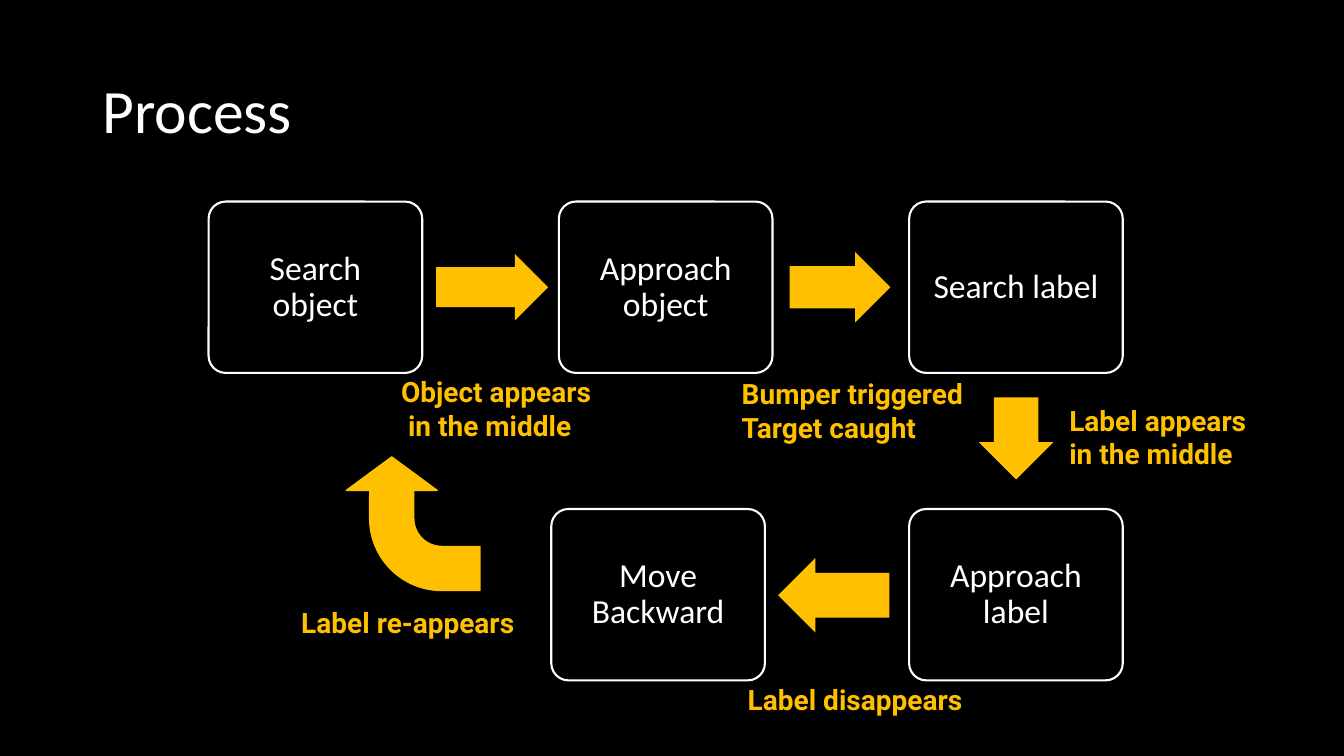
from pptx import Presentation
from pptx.dml.color import RGBColor
from pptx.enum.shapes import MSO_SHAPE
from pptx.enum.text import MSO_ANCHOR, PP_ALIGN
from pptx.util import Pt

HUES = {"back": "000000", "text": "FFFFFF", "gold": "FFC000"}
TITLE = ("Process", 66.2, 28.8, 828, 104.4)
WIDE, HIGH = 152.6, 122.4
TOP, LOW = 144, 363.6
STEPS = [
    ("Search object", 149, TOP),
    ("Approach object", 399.2, TOP),
    ("Search label", 649.4, TOP),
    ("Approach label", 649.4, LOW),
    ("Move Backward", 393.8, LOW),
]
TURNS = [
    (311.6, 181.4, 80, 47.6, 0),
    (564, 180, 72, 50.4, 0),
    (696.5, 286.6, 58.6, 53.2, 90),
    (555.8, 398.6, 79.4, 53.2, 180),
]
BEND = (247.4, 326.4, 95.4, 95.4, 270)
NOTES = [
    (["Object appears", " in the middle"], 279.4, 264.2, 160.6),
    (["Bumper triggered", "Target caught"], 522.7, 265.7, 183.6),
    (["Label appears", "in the middle"], 756.7, 284.4, 156.2),
    (["Label disappears"], 527, 483.8, 185),
    (["Label re-appears"], 208.1, 429.1, 180.7),
]
FONTS = {
    "title": {"name": "Calibri", "size": Pt(44)},
    "step": {"name": "Calibri", "size": Pt(24)},
    "note": {"name": "Roboto", "size": Pt(20), "bold": True},
}


def hue(key):
    return RGBColor.from_string(HUES[key])


def put(item, values):
    for key, value in values.items():
        setattr(item, key, value)


def write(frame, lines, style, tint, **form):
    frame.word_wrap = True
    for i, line in enumerate(lines):
        para = frame.paragraphs[0] if i == 0 else frame.add_paragraph()
        put(para, form)
        run = para.add_run()
        run.text = line
        put(run.font, FONTS[style])
        run.font.color.rgb = hue(tint)


def draw(kind, spot, fill, line, width, bends, turn=0):
    shape = slide.shapes.add_shape(kind, *map(Pt, spot))
    shape.shadow.inherit = False
    shape.rotation = turn
    shape.fill.solid()
    shape.fill.fore_color.rgb = hue(fill)
    if width:
        shape.line.color.rgb = hue(line)
        shape.line.width = Pt(width)
    else:
        shape.line.fill.background()
    for i, bend in enumerate(bends):
        shape.adjustments[i] = bend
    return shape


deck = Presentation()
put(deck, {"slide_width": Pt(960), "slide_height": Pt(540)})
slide = deck.slides.add_slide(deck.slide_layouts[6])
slide.background.fill.solid()
slide.background.fill.fore_color.rgb = hue("back")

name, *spot = TITLE
frame = slide.shapes.add_textbox(*map(Pt, spot)).text_frame
frame.vertical_anchor = MSO_ANCHOR.MIDDLE
write(frame, [name], "title", "text", line_spacing=0.9)

for name, left, top in STEPS:
    box = draw(MSO_SHAPE.ROUNDED_RECTANGLE, (left, top, WIDE, HIGH),
               "back", "text", 1.5, [0.1])
    frame = box.text_frame
    sides = ("left", "right", "top", "bottom")
    put(frame, {f"margin_{side}": Pt(7.2) for side in sides})
    frame.vertical_anchor = MSO_ANCHOR.MIDDLE
    write(frame, [name], "step", "text",
          alignment=PP_ALIGN.CENTER, line_spacing=0.9)

for *spot, turn in TURNS:
    draw(MSO_SHAPE.RIGHT_ARROW, spot, "gold", "gold", 0, [0.6, 0.5], turn)

*spot, turn = BEND
draw(MSO_SHAPE.BENT_ARROW, spot, "gold", "gold", 1,
     [0.33, 0.34, 0.25, 0.54], turn)

for lines, left, top, width in NOTES:
    high = 7.2 + 24 * len(lines)
    note = slide.shapes.add_textbox(*map(Pt, (left, top, width, high)))
    write(note.text_frame, lines, "note", "gold")

deck.save("out.pptx")
